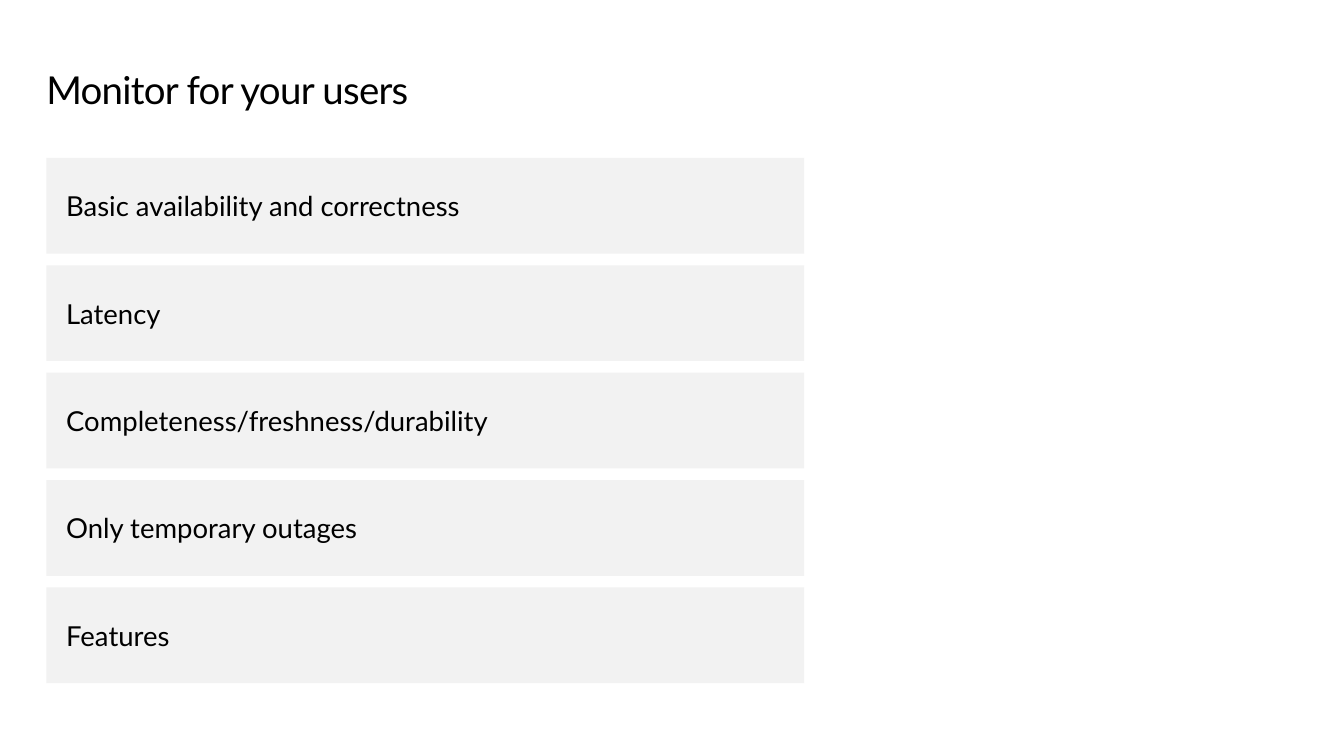
from pptx import Presentation
from pptx.dml.color import RGBColor
from pptx.enum.shapes import MSO_SHAPE
from pptx.enum.text import MSO_ANCHOR, PP_ALIGN
from pptx.util import Cm, Pt

RECT = MSO_SHAPE.RECTANGLE
TOP, MIDDLE = MSO_ANCHOR.TOP, MSO_ANCHOR.MIDDLE
LEFT = PP_ALIGN.LEFT

# Content
TITLE = "Monitor for your users"
ITEMS = [
    "Basic availability and correctness",
    "Latency",
    "Completeness/freshness/durability",
    "Only temporary outages",
    "Features",
]

# Theme
THEME = {
    "font": "Lato",
    "ink": RGBColor(0, 0, 0),
    "bar": RGBColor(0xF2, 0xF2, 0xF2),
    "title": Pt(28),
    "item": Pt(20),
}

# Layout
EDGE = Cm(1.19)
BAR_TOP, BAR_WIDE, BAR_HIGH, GAP = Cm(4.06), Cm(19.48), Cm(2.46), Cm(0.3)
PAD_X, PAD_Y = Cm(0.51), Cm(0.38)


def write(shape, text, size, anchor, pad_x=0, pad_y=0):
    frame = shape.text_frame
    form = {
        "word_wrap": True,
        "vertical_anchor": anchor,
        "margin_left": pad_x,
        "margin_right": pad_x,
        "margin_top": pad_y,
        "margin_bottom": pad_y,
    }
    for key, value in form.items():
        setattr(frame, key, value)
    para = frame.paragraphs[0]
    para.alignment = LEFT
    run = para.add_run()
    run.text = text
    run.font.name = THEME["font"]
    run.font.size = size
    run.font.color.rgb = THEME["ink"]
    return para, run


def add_title(slide):
    box = slide.shapes.add_textbox(EDGE, Cm(1.75), Cm(32.13), Cm(1.14))
    para, run = write(box, TITLE, THEME["title"], TOP)
    para.line_spacing = Pt(32)
    # Tighten the letters by half a point
    run.font._element.set("spc", "-50")


def add_bars(slide):
    for row, text in enumerate(ITEMS):
        top = BAR_TOP + row * (BAR_HIGH + GAP)
        bar = slide.shapes.add_shape(RECT, EDGE, top, BAR_WIDE, BAR_HIGH)
        bar.shadow.inherit = False
        bar.fill.solid()
        bar.fill.fore_color.rgb = THEME["bar"]
        bar.line.fill.background()
        write(bar, text, THEME["item"], MIDDLE, PAD_X, PAD_Y)


def main():
    deck = Presentation()
    deck.slide_width, deck.slide_height = Cm(34.54), Cm(19.43)
    slide = deck.slides.add_slide(deck.slide_layouts[6])
    add_title(slide)
    add_bars(slide)
    deck.save("out.pptx")


if __name__ == "__main__":
    main()
